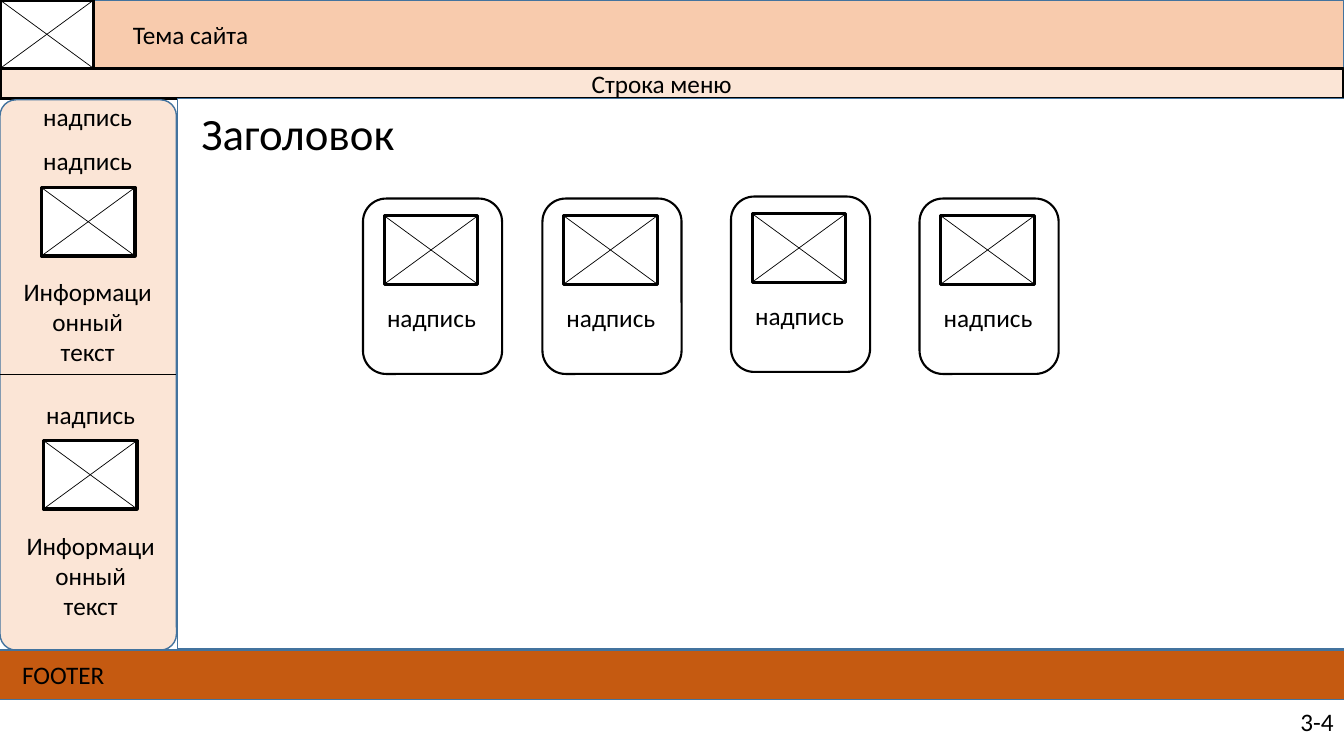
"""Build a website wireframe slide with header, menu, sidebar, cards and footer."""
from dataclasses import dataclass

from lxml import etree
from pptx import Presentation
from pptx.dml.color import RGBColor
from pptx.enum.shapes import MSO_CONNECTOR, MSO_SHAPE
from pptx.enum.text import MSO_AUTO_SIZE, PP_ALIGN
from pptx.oxml.ns import qn
from pptx.util import Inches, Pt

RECTANGLE = MSO_SHAPE.RECTANGLE
ROUNDED = MSO_SHAPE.ROUNDED_RECTANGLE
STRAIGHT = MSO_CONNECTOR.STRAIGHT
FIT_TEXT = MSO_AUTO_SIZE.SHAPE_TO_FIT_TEXT
LEFT, CENTER = PP_ALIGN.LEFT, PP_ALIGN.CENTER


@dataclass(frozen=True)
class Theme:
    font: str = "Calibri"
    body_size: int = 18
    title_size: int = 32
    black: RGBColor = RGBColor.from_string("000000")
    white: RGBColor = RGBColor.from_string("FFFFFF")
    peach: RGBColor = RGBColor.from_string("F8CBAD")
    pale_peach: RGBColor = RGBColor.from_string("FBE5D6")
    rust: RGBColor = RGBColor.from_string("C55A11")
    blue: RGBColor = RGBColor.from_string("43739E")


theme = Theme()
presentation = Presentation()
presentation.slide_width = Inches(13.33)
presentation.slide_height = Inches(7.5)
slide = presentation.slides.add_slide(presentation.slide_layouts[6])


def add_box(kind, bounds, fill, line_color, line_width):
    shape = slide.shapes.add_shape(kind, *map(Inches, bounds))
    shape.shadow.inherit = False
    if fill is None:
        shape.fill.background()
    else:
        shape.fill.solid()
        shape.fill.fore_color.rgb = fill
    shape.line.color.rgb = line_color
    shape.line.width = Pt(line_width)
    return shape


def add_line(start, end, width):
    connector = slide.shapes.add_connector(STRAIGHT, *map(Inches, (*start, *end)))
    connector.line.color.rgb = theme.black
    connector.line.width = Pt(width)
    etree.SubElement(connector._element.spPr, qn("a:effectLst"))


add_box(RECTANGLE, (0, 0, 13.33, 0.68), theme.peach, theme.blue, 1)
add_box(RECTANGLE, (0, 0.68, 13.33, 0.3), theme.pale_peach, theme.black, 2.25)
sidebar = add_box(ROUNDED, (0, 0.99, 1.75, 5.46), theme.pale_peach, theme.blue, 1)
sidebar.adjustments[0] = 0.091
add_line((0, 3.72), (1.75, 3.72), 0.75)
add_box(RECTANGLE, (-0.02, 6.45, 13.39, 0.49), theme.rust, theme.blue, 1)
add_box(RECTANGLE, (1.76, 0.98, 11.58, 5.46), theme.white, theme.blue, 1)

image_frames = [(0, 0), (0.41, 1.86), (0.43, 4.37)]
labels = [
    ("Тема сайта", 1.22, 0.14, 1.36, 0.4),
    ("Строка меню", 5.77, 0.63, 1.61, 0.4),
    ("надпись", 0.33, 0.96, 1.09, 0.4),
    ("надпись", 0.33, 1.39, 1.09, 0.4),
    ("надпись", 0.36, 3.91, 1.09, 0.4),
    ("Информационный\nтекст", 0.09, 2.69, 1.56, 1.01),
    ("Информационный\nтекст", 0.12, 5.21, 1.56, 1.01),
    ("FOOTER", 0.12, 6.49, 1.02, 0.4),
    ("3-4", 12.8, 6.96, 0.54, 0.4),
    ("Заголовок", 1.9, 1, 2.14, 0.64),
]

for card_left, card_top in [(3.6, 1.97), (5.38, 1.97), (7.25, 1.95), (9.12, 1.97)]:
    add_box(ROUNDED, (card_left, card_top, 1.38, 1.74), None, theme.black, 1.5)
    image_frames.append((card_left + 0.21, card_top + 0.17))
    labels.append(("надпись", card_left + 0.14, card_top + 0.98, 1.09, 0.4))

for left, top in image_frames:
    right, bottom = left + 0.93, top + 0.68
    add_box(RECTANGLE, (left, top, 0.93, 0.68), theme.white, theme.black, 2.25)
    add_line((right, top), (left, bottom), 0.5)
    add_line((left, top), (right, bottom), 0.5)

for text, *bounds in labels:
    text_box = slide.shapes.add_textbox(*map(Inches, bounds))
    text_frame = text_box.text_frame
    text_frame.text = text
    multiline = "\n" in text
    text_frame.word_wrap = multiline
    text_frame.auto_size = FIT_TEXT
    for paragraph in text_frame.paragraphs:
        paragraph.alignment = CENTER if multiline else LEFT
        paragraph.font.name = theme.font
        paragraph.font.size = Pt(theme.title_size if text == "Заголовок" else theme.body_size)
        paragraph.font.color.rgb = theme.black

presentation.save("out.pptx")
